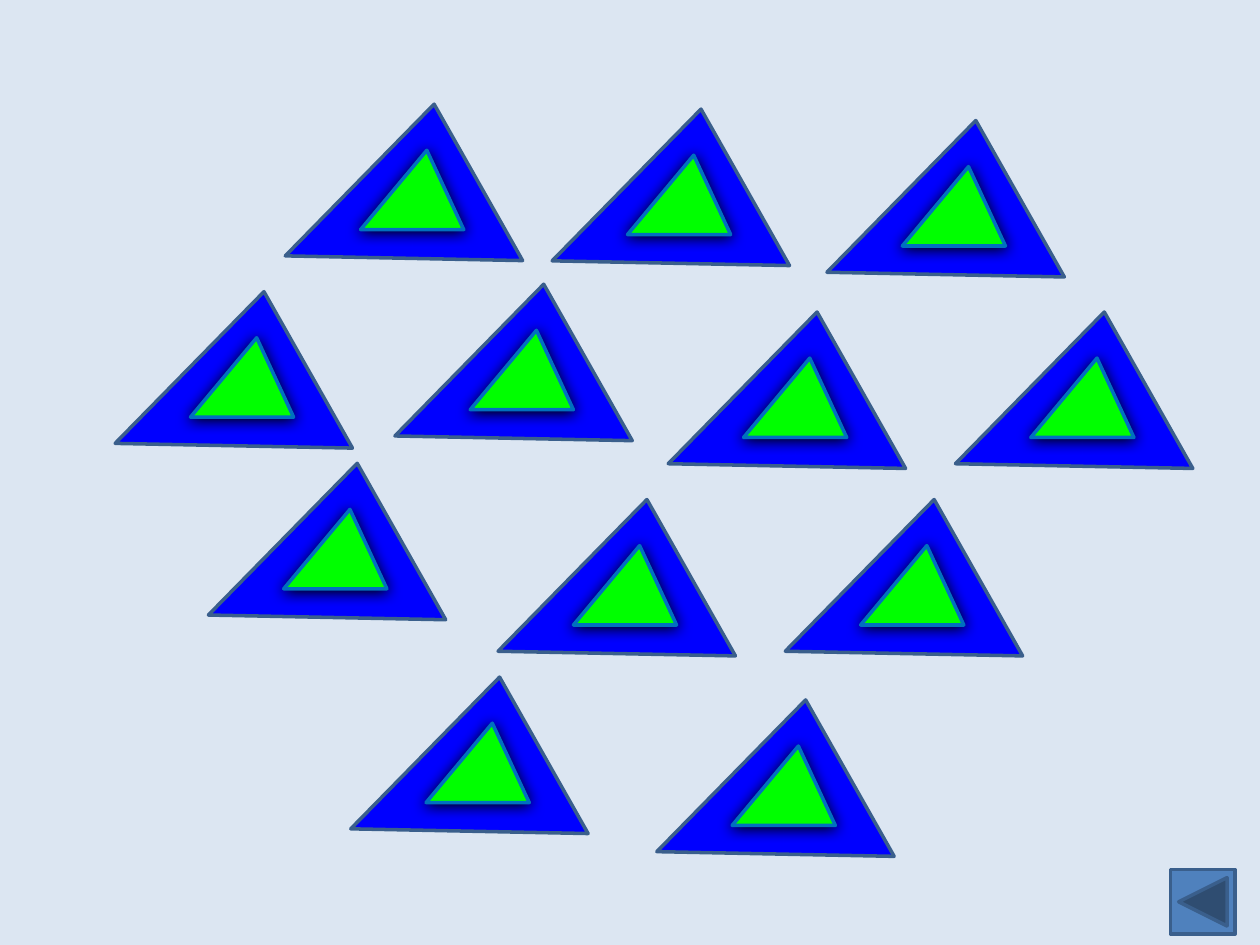
from lxml import etree
from pptx import Presentation
from pptx.dml.color import RGBColor
from pptx.enum.shapes import MSO_SHAPE
from pptx.oxml.ns import qn
from pptx.util import Cm, Pt

TRIANGLE = MSO_SHAPE.ISOSCELES_TRIANGLE
NEXT_BUTTON = MSO_SHAPE.ACTION_BUTTON_FORWARD_OR_NEXT

BACKGROUND = "DCE6F2"
BLUE, GREEN, BUTTON_BLUE = "0000FF", "00FF00", "4F81BD"
DARK_LINE, BRIGHT_LINE = "3A5F8C", "0070C0"

# Corners of the outer triangle before it is turned, in cm
OUTER_CORNERS = [(0, 3.45), (2.54, 0), (4.75, 2.87)]
OUTER_ROTATION = 8.1

# Inner triangle: offset from the outer one, and size, in cm
INNER_OFFSET = (1.3, 0.97)
INNER_SIZE = (2.08, 1.6)
INNER_APEX = 0.642

# Left and top of each nested pair, in cm, from back to front
PAIR_POSITIONS = [
    (4.42, 9.3), (7.29, 13.61), (13.46, 14.07), (16.05, 10.03),
    (19.48, 6.25), (10.26, 10.03), (13.69, 6.25), (2.54, 5.84),
    (5.97, 2.06), (11.35, 2.16), (16.89, 2.39), (8.18, 5.69),
]


def color(hex_text):
    return RGBColor.from_string(hex_text)


def style(shape, fill, line):
    shape.shadow.inherit = False
    shape.fill.solid()
    shape.fill.fore_color.rgb = color(fill)
    shape.line.color.rgb = color(line)
    shape.line.width = Pt(2)


def add_soft_shadow(shape):
    effects = shape._element.spPr.find(qn("a:effectLst"))
    shadow = etree.SubElement(
        effects, qn("a:outerShdw"), blurRad=str(Pt(8.5)), dist=str(Pt(1)),
        dir="5400000", algn="ctr", rotWithShape="0")
    etree.SubElement(shadow, qn("a:srgbClr"), val="000000")


def add_outer_triangle(shapes, left, top):
    corners = [(Cm(left + x), Cm(top + y)) for x, y in OUTER_CORNERS]
    builder = shapes.build_freeform(*corners[0])
    builder.add_line_segments(corners[1:], close=True)
    triangle = builder.convert_to_shape()
    triangle.rotation = OUTER_ROTATION
    style(triangle, BLUE, DARK_LINE)


def add_inner_triangle(shapes, left, top):
    width, height = INNER_SIZE
    triangle = shapes.add_shape(
        TRIANGLE, Cm(left + INNER_OFFSET[0]), Cm(top + INNER_OFFSET[1]),
        Cm(width), Cm(height))
    triangle.adjustments[0] = INNER_APEX
    style(triangle, GREEN, BRIGHT_LINE)
    add_soft_shadow(triangle)


def add_nested_pair(page, left, top):
    group = page.shapes.add_group_shape()
    add_outer_triangle(group.shapes, left, top)
    add_inner_triangle(group.shapes, left, top)


def add_back_button(page):
    button = page.shapes.add_shape(
        NEXT_BUTTON, Cm(23.6), Cm(17.53), Cm(1.3), Cm(1.3))
    style(button, BUTTON_BLUE, DARK_LINE)
    # Mirrored, so that the arrow points back
    button._element.spPr.find(qn("a:xfrm")).set("flipH", "1")


def main():
    deck = Presentation()
    deck.slide_width, deck.slide_height = Cm(25.4), Cm(19.05)
    page = deck.slides.add_slide(deck.slide_layouts[6])

    # Background
    page.background.fill.solid()
    page.background.fill.fore_color.rgb = color(BACKGROUND)

    # Navigation button and triangles
    add_back_button(page)
    for left, top in PAIR_POSITIONS:
        add_nested_pair(page, left, top)

    deck.save("out.pptx")


if __name__ == "__main__":
    main()
